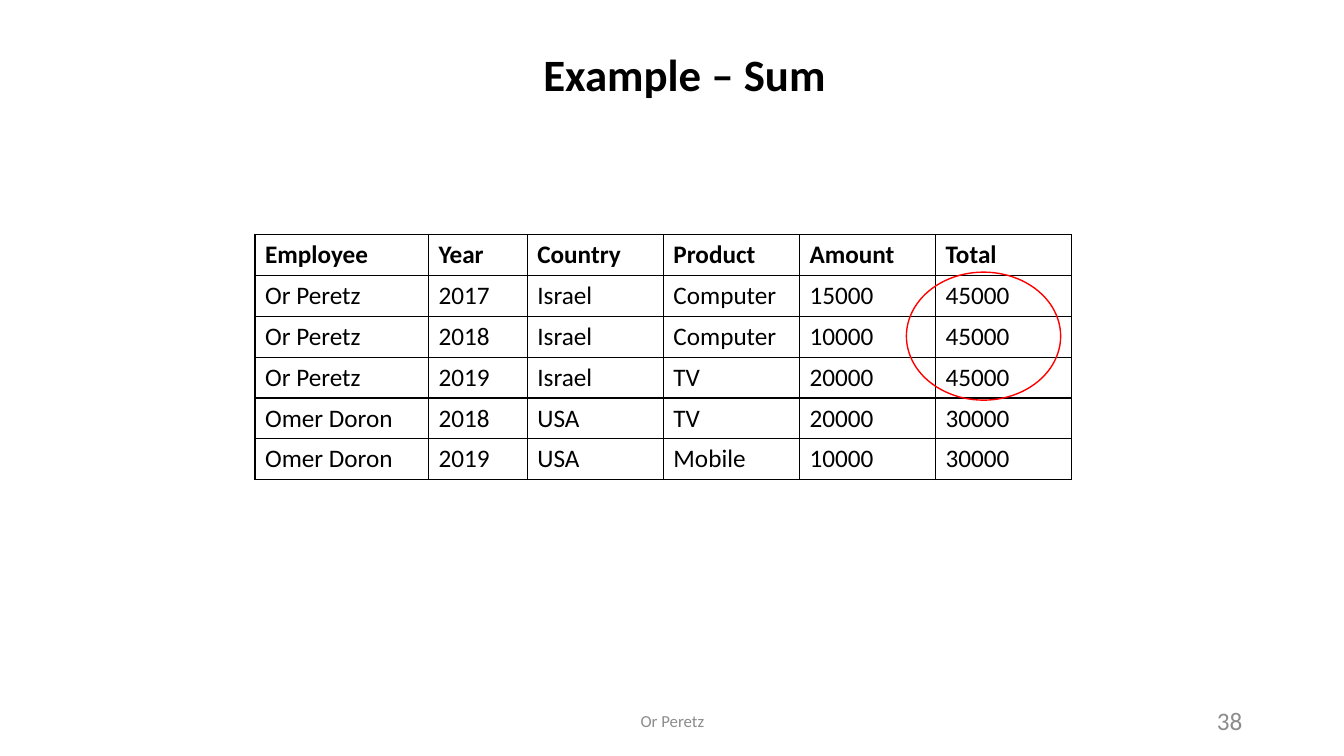
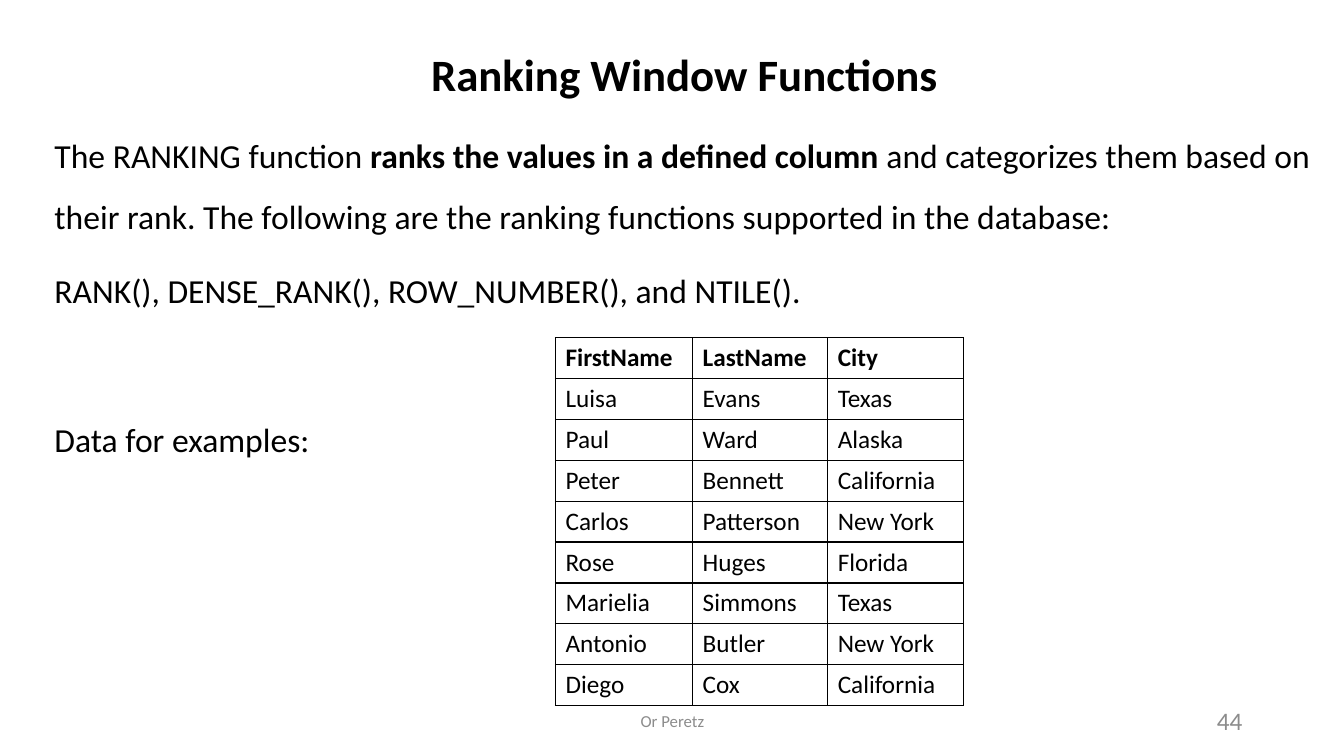
"""Build two slides on SQL window functions: a sum example and the ranking functions."""
from dataclasses import dataclass
from typing import NamedTuple

from lxml import etree
from pptx import Presentation
from pptx.dml.color import RGBColor
from pptx.enum.shapes import MSO_SHAPE
from pptx.enum.text import MSO_ANCHOR, MSO_AUTO_SIZE, PP_ALIGN
from pptx.oxml.ns import qn
from pptx.util import Emu, Pt

LEFT, CENTER, RIGHT = PP_ALIGN.LEFT, PP_ALIGN.CENTER, PP_ALIGN.RIGHT
TOP, MIDDLE = MSO_ANCHOR.TOP, MSO_ANCHOR.MIDDLE
NO_AUTOFIT = MSO_AUTO_SIZE.NONE
ELLIPSE = MSO_SHAPE.OVAL
EMU_PER_PX = 9144
TITLE_AND_BODY, TITLE_ONLY = 1, 5


@dataclass(frozen=True)
class Theme:
    font: str = "Calibri"
    ink: RGBColor = RGBColor(0x00, 0x00, 0x00)
    muted: RGBColor = RGBColor(0x8C, 0x8C, 0x8C)
    accent: RGBColor = RGBColor(0xFF, 0x00, 0x00)
    title_size: int = 32
    body_size: int = 24
    table_size: int = 18
    number_size: int = 18
    footer_size: int = 12
    line_spacing: float = 1.5
    line_width: int = 1


class Box(NamedTuple):
    left: int
    top: int
    width: int
    height: int


class Span(NamedTuple):
    text: str
    bold: bool = False


class BodyLine(NamedTuple):
    spans: tuple[Span, ...]
    space_before: int = 0


class DataTable(NamedTuple):
    left: int
    top: int
    height: int
    widths: tuple[int, ...]
    rows: tuple[tuple[str, ...], ...]


class SlideContent(NamedTuple):
    title: str
    number: str
    table: DataTable
    body: tuple[BodyLine, ...] = ()
    highlight: Box | None = None


THEME = Theme()
SLIDE_WIDTH, SLIDE_HEIGHT = 1333, 750
TITLE_BOX = Box(44, 15, 1270, 94)
BODY_BOX = Box(44, 109, 1270, 615)
NUMBER_BOX = Box(942, 695, 300, 40)
FOOTER_BOX = Box(442, 695, 450, 40)
FOOTER = "Or Peretz"

SLIDES = (
    SlideContent(
        title="Example – Sum",
        number="38",
        table=DataTable(253, 233, 243, (172, 98, 135, 135, 135, 135), (
            ("Employee", "Year", "Country", "Product", "Amount", "Total"),
            ("Or Peretz", "2017", "Israel", "Computer", "15000", "45000"),
            ("Or Peretz", "2018", "Israel", "Computer", "10000", "45000"),
            ("Or Peretz", "2019", "Israel", "TV", "20000", "45000"),
            ("Omer Doron", "2018", "USA", "TV", "20000", "30000"),
            ("Omer Doron", "2019", "USA", "Mobile", "10000", "30000"),
        )),
        highlight=Box(899, 270, 153, 127),
    ),
    SlideContent(
        title="Ranking Window Functions",
        number="44",
        table=DataTable(551, 335, 365, (136, 134, 135), (
            ("FirstName", "LastName", "City"),
            ("Luisa", "Evans", "Texas"),
            ("Paul", "Ward", "Alaska"),
            ("Peter", "Bennett", "California"),
            ("Carlos", "Patterson", "New York"),
            ("Rose", "Huges", "Florida"),
            ("Marielia", "Simmons", "Texas"),
            ("Antonio", "Butler", "New York"),
            ("Diego", "Cox", "California"),
        )),
        body=(
            BodyLine((
                Span("The RANKING function "),
                Span("ranks the values in a defined column", True),
                Span(" and categorizes them based on their rank. The following are "
                     "the ranking functions supported in the database:"),
            )),
            BodyLine((Span("RANK(), DENSE_RANK(), ROW_NUMBER(), and NTILE()."),), 10),
            BodyLine((Span("Data for examples:"),), 63),
        ),
    ),
)


def px(length: int) -> Emu:
    return Emu(length * EMU_PER_PX)


def scaled(box: Box) -> tuple[Emu, ...]:
    return tuple(px(length) for length in box)


def style_paragraph(paragraph, size: int, color: RGBColor = THEME.ink,
                    bold: bool = False, align: PP_ALIGN = LEFT) -> None:
    paragraph.alignment = align
    font = paragraph.font
    font.name, font.size, font.bold = THEME.font, Pt(size), bold
    font.color.rgb = color


def prepare_placeholder(placeholder, box: Box):
    placeholder.left, placeholder.top, placeholder.width, placeholder.height = scaled(box)
    frame = placeholder.text_frame
    frame.word_wrap = True
    frame.auto_size = NO_AUTOFIT
    frame.vertical_anchor = TOP
    return frame


def add_title(slide, text: str) -> None:
    frame = prepare_placeholder(slide.shapes.title, TITLE_BOX)
    frame.text = text
    heading = frame.paragraphs[0]
    heading.line_spacing = THEME.line_spacing
    style_paragraph(heading, THEME.title_size, bold=True, align=CENTER)


def add_body(slide, lines: tuple[BodyLine, ...]) -> None:
    frame = prepare_placeholder(slide.placeholders[1], BODY_BOX)
    for index, line in enumerate(lines):
        paragraph = frame.add_paragraph() if index else frame.paragraphs[0]
        properties = paragraph._p.get_or_add_pPr()
        properties.set("marL", "0")
        properties.set("indent", "0")
        etree.SubElement(properties, qn("a:buNone"))
        paragraph.line_spacing = THEME.line_spacing
        paragraph.space_before = Pt(line.space_before)
        style_paragraph(paragraph, THEME.body_size)
        for span in line.spans:
            run = paragraph.add_run()
            run.text = span.text
            if span.bold:
                run.font.bold = True


def add_label(slide, box: Box, text: str, size: int, align: PP_ALIGN) -> None:
    frame = slide.shapes.add_textbox(*scaled(box)).text_frame
    frame.word_wrap = True
    frame.vertical_anchor = MIDDLE
    frame.text = text
    style_paragraph(frame.paragraphs[0], size, THEME.muted, align=align)


def add_borders(cell) -> None:
    properties = cell._tc.get_or_add_tcPr()
    for side in ("lnL", "lnR", "lnT", "lnB"):
        line = etree.SubElement(properties, qn(f"a:{side}"), w=str(Pt(THEME.line_width)))
        fill = etree.SubElement(line, qn("a:solidFill"))
        etree.SubElement(fill, qn("a:srgbClr"), val=str(THEME.ink))


def add_data_table(slide, data: DataTable) -> None:
    box = Box(data.left, data.top, sum(data.widths), data.height)
    table = slide.shapes.add_table(len(data.rows), len(data.widths), *scaled(box)).table
    table.first_row = table.horz_banding = False
    for column, width in zip(table.columns, data.widths):
        column.width = px(width)
    for row_index, values in enumerate(data.rows):
        for column_index, value in enumerate(values):
            cell = table.cell(row_index, column_index)
            cell.text = value
            style_paragraph(cell.text_frame.paragraphs[0], THEME.table_size,
                            bold=row_index == 0)
            add_borders(cell)
            cell.fill.background()


def add_highlight(slide, box: Box) -> None:
    ring = slide.shapes.add_shape(ELLIPSE, *scaled(box))
    ring.shadow.inherit = False
    ring.fill.background()
    ring.line.color.rgb = THEME.accent
    ring.line.width = Pt(THEME.line_width)


def add_slide(presentation, content: SlideContent) -> None:
    layout = TITLE_AND_BODY if content.body else TITLE_ONLY
    slide = presentation.slides.add_slide(presentation.slide_layouts[layout])
    add_title(slide, content.title)
    if content.body:
        add_body(slide, content.body)
    add_label(slide, NUMBER_BOX, content.number, THEME.number_size, RIGHT)
    add_label(slide, FOOTER_BOX, FOOTER, THEME.footer_size, CENTER)
    add_data_table(slide, content.table)
    if content.highlight:
        add_highlight(slide, content.highlight)


def main() -> None:
    presentation = Presentation()
    presentation.slide_width, presentation.slide_height = px(SLIDE_WIDTH), px(SLIDE_HEIGHT)
    for content in SLIDES:
        add_slide(presentation, content)
    presentation.save("out.pptx")


if __name__ == "__main__":
    main()
